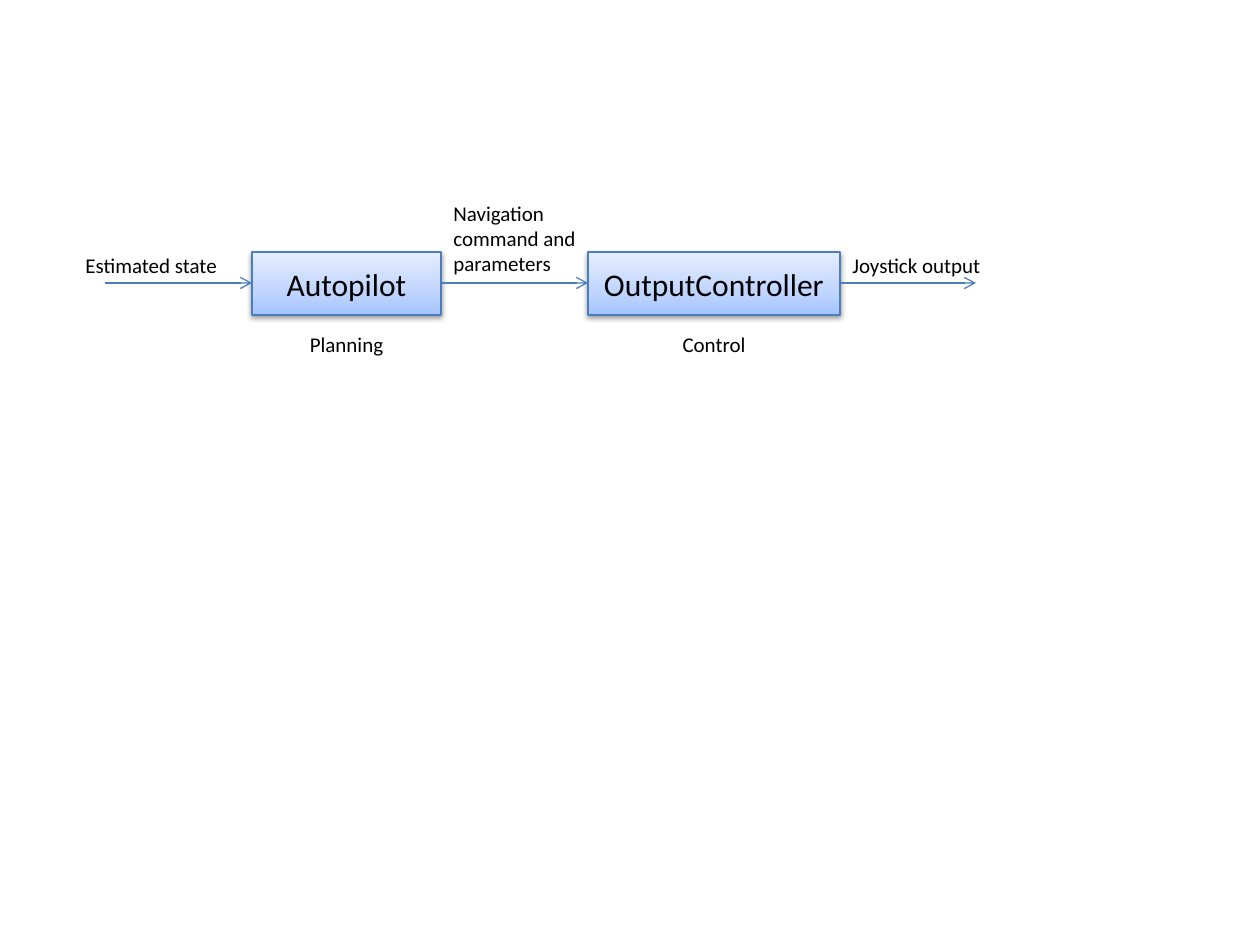
import copy
import pptx
import pptx.util
import pptx.dml.color
import pptx.enum.shapes
import pptx.enum.text
import pptx.oxml
import pptx.oxml.ns

SCALE = 914400 / 126
FONT = "Calibri"
COLORS = {"line": "4B7EBC", "text": "000000",
          "low": "A4C4FF", "mid": "BFD4FF", "high": "E6EEFF"}
ALIGN = pptx.enum.text.PP_ALIGN
NS = pptx.oxml.ns.nsdecls("a")
SHADE = (f'<a:outerShdw {NS} blurRad="40000" dist="20000" dir="5400000" rotWithShape="0">'
         '<a:srgbClr val="000000"><a:alpha val="38000"/></a:srgbClr></a:outerShdw>')


def px(*sizes):
    return [round(size * SCALE) for size in sizes]


def color(name):
    return pptx.dml.color.RGBColor.from_string(COLORS[name])


def style_line(item):
    item.line.color.rgb = color("line")
    item.line.width = pptx.util.Pt(0.75)


def write(frame, text, size, align):
    frame.word_wrap = True
    frame.text = text
    par = frame.paragraphs[0]
    par.alignment = align
    font = par.runs[0].font
    font.name = FONT
    font.size = pptx.util.Pt(size)
    font.color.rgb = color("text")


def add_label(slide, box, text, align=ALIGN.LEFT):
    label = slide.shapes.add_textbox(*px(*box))
    write(label.text_frame, text, 12, align)
    label.text_frame.auto_size = pptx.enum.text.MSO_AUTO_SIZE.SHAPE_TO_FIT_TEXT


def fill_block(block):
    fill = block.fill
    fill.gradient()
    fill.gradient_angle = 90
    stops = block._element.spPr.find(".//" + pptx.oxml.ns.qn("a:gsLst"))
    stops.insert(1, copy.deepcopy(stops[0]))
    for stop, place, name in zip(fill.gradient_stops, (0, 0.35, 1), ("low", "mid", "high")):
        stop.position = place
        stop.color.rgb = color(name)


def add_block(slide, box, title, role):
    left, top, width, height = box
    block = slide.shapes.add_shape(pptx.enum.shapes.MSO_SHAPE.RECTANGLE, *px(*box))
    fill_block(block)
    style_line(block)
    block.shadow.inherit = False
    effects = block._element.spPr.find(pptx.oxml.ns.qn("a:effectLst"))
    effects.append(pptx.oxml.parse_xml(SHADE))
    block.text_frame.vertical_anchor = pptx.enum.text.MSO_ANCHOR.MIDDLE
    write(block.text_frame, title, 18, ALIGN.CENTER)
    add_label(slide, (left + width / 2 - 84, top + height + 10, 168, 38), role, ALIGN.CENTER)


def add_arrow(slide, start, end, level):
    arrow = slide.shapes.add_connector(
        pptx.enum.shapes.MSO_CONNECTOR.STRAIGHT, *px(start, level, end, level))
    style_line(arrow)
    arrow.line._get_or_add_ln().append(
        pptx.oxml.parse_xml(f'<a:tailEnd {NS} type="arrow"/>'))
    arrow._element.spPr.append(pptx.oxml.parse_xml(f"<a:effectLst {NS}/>"))


def add_flow(slide, box):
    left, top, width, height = box
    level = top + height // 2
    plan, plan_end = left + 147, left + 336
    ctrl, ctrl_end = left + 483, left + 735
    add_block(slide, (plan, top, plan_end - plan, height), "Autopilot", "Planning")
    add_block(slide, (ctrl, top, ctrl_end - ctrl, height), "OutputController", "Control")
    for start, end in ((left, plan), (plan_end, ctrl), (ctrl_end, left + width)):
        add_arrow(slide, start, end, level)
    for start, wide, tall, text in (
            (left - 32, 168, 38, "Estimated state"),
            (plan_end, 179, 90, "Navigation command and parameters"),
            (ctrl_end, 168, 38, "Joystick output")):
        add_label(slide, (start, level - tall + 1, wide, tall), text)


def main():
    deck = pptx.Presentation()
    deck.slide_width, deck.slide_height = px(1260, 945)
    slide = deck.slides.add_slide(deck.slide_layouts[6])
    add_flow(slide, (105, 252, 871, 63))
    deck.save("out.pptx")


if __name__ == "__main__":
    main()
